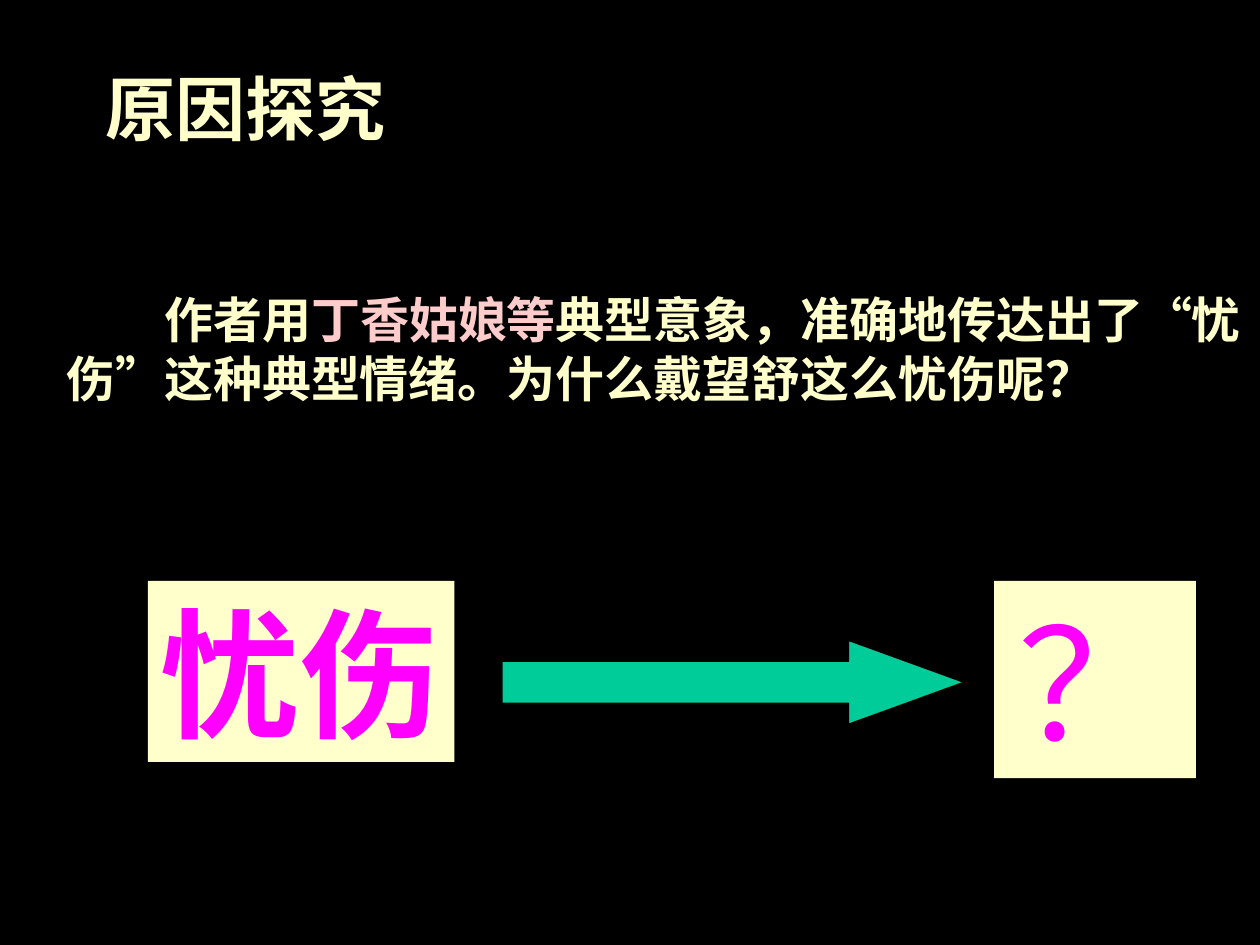
from dataclasses import dataclass

from pptx import Presentation, util as u
from pptx.dml.color import RGBColor
from pptx.enum import shapes, text
from pptx.oxml.ns import qn
from lxml import etree


@dataclass(frozen=True)
class Theme:
    background: str = "000000"
    cream: str = "FFFFCC"
    pink: str = "FFCCCC"
    magenta: str = "FF00FF"
    green: str = "00CC99"
    serif: str = "Times New Roman"
    sans: str = "Noto Sans CJK SC"
    title_size: int = 40
    body_size: int = 28
    feeling_size: int = 80
    question_size: int = 88


THEME = Theme()


def color(value):
    return RGBColor.from_string(value)


def write_text(shape, runs, *, size, font, bold=False, indent=0,
               align=text.PP_ALIGN.LEFT, anchor=text.MSO_ANCHOR.MIDDLE):
    """Fill a shape with one paragraph of (words, colour) runs."""
    frame = shape.text_frame
    frame.word_wrap = True
    frame.vertical_anchor = anchor
    paragraph = frame.paragraphs[0]
    paragraph.alignment = align
    if indent:
        properties = paragraph._p.get_or_add_pPr()
        properties.set("marL", "0")
        properties.set("indent", str(u.Pt(indent)))
    for words, run_color in runs:
        run = paragraph.add_run()
        run.text = words
        run.font.size = u.Pt(size)
        run.font.bold = bold
        run.font.name = font
        run.font.color.rgb = color(run_color)
        east_asian = etree.SubElement(run._r.get_or_add_rPr(), qn("a:ea"))
        east_asian.set("typeface", THEME.sans)


class SlideBuilder:
    def __init__(self, slide, theme):
        self.slide = slide
        self.theme = theme
        fill = slide.background.fill
        fill.solid()
        fill.fore_color.rgb = color(theme.background)

    def text_box(self, box, runs, **text_format):
        shape = self.slide.shapes.add_textbox(*map(u.Cm, box))
        write_text(shape, runs, **text_format)

    def filled_shape(self, kind, box, fill_color):
        shape = self.slide.shapes.add_shape(kind, *map(u.Cm, box))
        shape.shadow.inherit = False
        shape.fill.solid()
        shape.fill.fore_color.rgb = color(fill_color)
        shape.line.fill.background()
        return shape

    def card(self, box, words, **text_format):
        shape = self.filled_shape(shapes.MSO_SHAPE.RECTANGLE, box, self.theme.cream)
        write_text(shape, [(words, self.theme.magenta)], **text_format)

    def arrow(self, box, head_ratio):
        shape = self.filled_shape(shapes.MSO_SHAPE.RIGHT_ARROW, box, self.theme.green)
        shape.adjustments[0] = 0.5
        shape.adjustments[1] = head_ratio
        shape.line.color.rgb = color(self.theme.background)
        shape.line.width = u.Pt(0.75)


def main():
    presentation = Presentation()
    presentation.slide_width = u.Cm(25.4)
    presentation.slide_height = u.Cm(19.05)
    slide = presentation.slides.add_slide(presentation.slide_layouts[6])
    builder = SlideBuilder(slide, THEME)

    builder.text_box((1.88, 1, 7.82, 2.34), [("原因探究", THEME.cream)],
                     size=THEME.title_size, font=THEME.serif, bold=True)
    builder.text_box(
        (1.09, 2.6, 24.31, 8.84),
        [("作者用", THEME.cream),
         ("丁香姑娘等", THEME.pink),
         ("典型意象，准确地传达出了“忧伤”这种典型情绪。为什么戴望舒这么忧伤呢？", THEME.cream)],
        size=THEME.body_size, font=THEME.sans, bold=True, indent=2 * THEME.body_size)

    card_top = 11.71
    builder.card((2.98, card_top, 6.18, 3.65), "忧伤", size=THEME.feeling_size,
                 font=THEME.sans, bold=True, anchor=text.MSO_ANCHOR.TOP)
    builder.arrow((10.12, 12.91, 9.31, 1.69), head_ratio=1.375)
    builder.card((20.04, card_top, 4.07, 3.98), "？", size=THEME.question_size,
                 font=THEME.serif, align=text.PP_ALIGN.CENTER)

    presentation.save("out.pptx")


if __name__ == "__main__":
    main()
